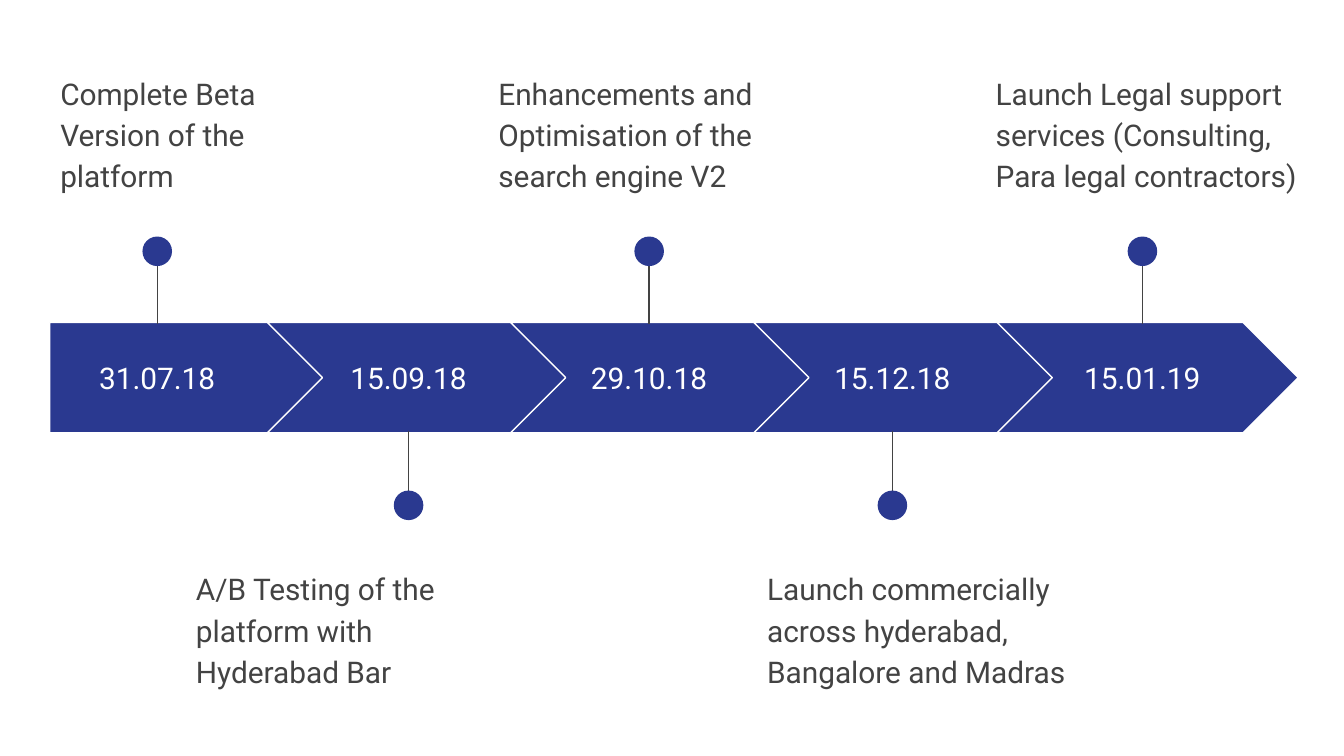
from lxml import etree
from pptx import Presentation
from pptx.dml.color import RGBColor
from pptx.enum.shapes import MSO_CONNECTOR, MSO_SHAPE
from pptx.enum.text import MSO_ANCHOR, PP_ALIGN
from pptx.oxml.ns import qn
from pptx.util import Inches, Pt

PENTAGON, CHEVRON, OVAL = MSO_SHAPE.PENTAGON, MSO_SHAPE.CHEVRON, MSO_SHAPE.OVAL
STRAIGHT = MSO_CONNECTOR.STRAIGHT
TOP, MIDDLE = MSO_ANCHOR.TOP, MSO_ANCHOR.MIDDLE
LEFT, CENTER = PP_ALIGN.LEFT, PP_ALIGN.CENTER

# date, description, centre of date and pin, left edge of description
MILESTONES = [
    ("31.07.18", "Complete Beta Version of the platform", 1.17, 0.35),
    ("15.09.18", "A/B Testing of the platform with Hyderabad Bar", 3.04, 1.36),
    ("29.10.18", "Enhancements and Optimisation of the search engine V2", 4.83, 3.61),
    ("15.12.18", "Launch commercially across hyderabad, Bangalore and Madras", 6.64, 5.61),
    ("15.01.19", "Launch Legal support services (Consulting, Para legal contractors)", 8.5, 7.31),
]

BLUE, GREY, WHITE = "2A3990", "434343", "FFFFFF"
FONT, TEXT_SIZE, LINE_WIDTH = "Roboto", 16, 0.75
SLIDE_WIDTH = 10
SLIDE_HEIGHT = SLIDE_WIDTH * 9 / 16
BAND_TOP, BAND_HEIGHT = 2.4, 0.82
BAND_BOTTOM = BAND_TOP + BAND_HEIGHT
FIRST_LEFT, FIRST_WIDTH = 0.37, 2.05
CHEVRON_LEFT, CHEVRON_WIDTH, CHEVRON_STEP = 1.99, 2.24, 1.81
DATE_WIDTH, DATE_HEIGHT = 1.44, 0.51
DATE_TOP = BAND_TOP + (BAND_HEIGHT - DATE_HEIGHT) / 2
DOT_SIZE, PIN_LENGTH, PIN_OVERLAP = 0.22, 0.61, 0.01
DOT_TOP_ABOVE, DOT_TOP_BELOW = 1.76, 3.65
NOTE_WIDTH, NOTE_HEIGHT = 2.45, 0.99
NOTE_TOP_ABOVE, NOTE_TOP_BELOW = 0.42, 4.11


def color(hex_value):
    return RGBColor.from_string(hex_value)


def add_blue_shape(shapes, kind, left, top, width, height, outlined):
    shape = shapes.add_shape(kind, *map(Inches, (left, top, width, height)))
    shape.shadow.inherit = False
    shape.fill.solid()
    shape.fill.fore_color.rgb = color(BLUE)
    if outlined:
        shape.line.color.rgb = color(WHITE)
        shape.line.width = Pt(LINE_WIDTH)
    else:
        shape.line.fill.background()


def add_text(slide, text, left, top, width, height, hex_color, anchor, paragraph_format):
    frame = slide.shapes.add_textbox(*map(Inches, (left, top, width, height))).text_frame
    frame.word_wrap = True
    frame.vertical_anchor = anchor
    for side in ("left", "top", "right", "bottom"):
        setattr(frame, f"margin_{side}", Inches(0.1))
    paragraph = frame.paragraphs[0]
    for name, value in paragraph_format.items():
        setattr(paragraph, name, value)
    run = paragraph.add_run()
    run.text = text
    for name, value in {"name": FONT, "size": Pt(TEXT_SIZE)}.items():
        setattr(run.font, name, value)
    run.font.color.rgb = color(hex_color)


def add_pin(slide, center, above):
    """Join the band to a dot above or below it."""
    start = BAND_TOP + PIN_OVERLAP if above else BAND_BOTTOM - PIN_OVERLAP
    end = start - PIN_LENGTH if above else start + PIN_LENGTH
    dot_top = DOT_TOP_ABOVE if above else DOT_TOP_BELOW
    group = slide.shapes.add_group_shape()
    line = group.shapes.add_connector(STRAIGHT, *map(Inches, (center, end, center, start)))
    line.line.color.rgb = color(GREY)
    line.line.width = Pt(LINE_WIDTH)
    etree.SubElement(line._element.spPr, qn("a:effectLst"))
    add_blue_shape(group.shapes, OVAL, center - DOT_SIZE / 2, dot_top,
                   DOT_SIZE, DOT_SIZE, outlined=False)


def add_milestone(slide, index, date, note, center, note_left):
    above = index % 2 == 0
    if index == 0:
        kind, left, width = PENTAGON, FIRST_LEFT, FIRST_WIDTH
    else:
        kind, width = CHEVRON, CHEVRON_WIDTH
        left = CHEVRON_LEFT + (index - 1) * CHEVRON_STEP
    add_blue_shape(slide.shapes, kind, left, BAND_TOP, width, BAND_HEIGHT, outlined=True)
    add_text(slide, date, center - DATE_WIDTH / 2, DATE_TOP, DATE_WIDTH, DATE_HEIGHT,
             WHITE, MIDDLE, {"alignment": CENTER})
    add_pin(slide, center, above)
    add_text(slide, note, note_left, NOTE_TOP_ABOVE if above else NOTE_TOP_BELOW,
             NOTE_WIDTH, NOTE_HEIGHT, GREY, TOP,
             {"alignment": LEFT, "line_spacing": 1.15, "space_after": Pt(16)})


def main():
    presentation = Presentation()
    presentation.slide_width = Inches(SLIDE_WIDTH)
    presentation.slide_height = Inches(SLIDE_HEIGHT)
    slide = presentation.slides.add_slide(presentation.slide_layouts[6])
    for index, milestone in enumerate(MILESTONES):
        add_milestone(slide, index, *milestone)
    presentation.save("out.pptx")


if __name__ == "__main__":
    main()
